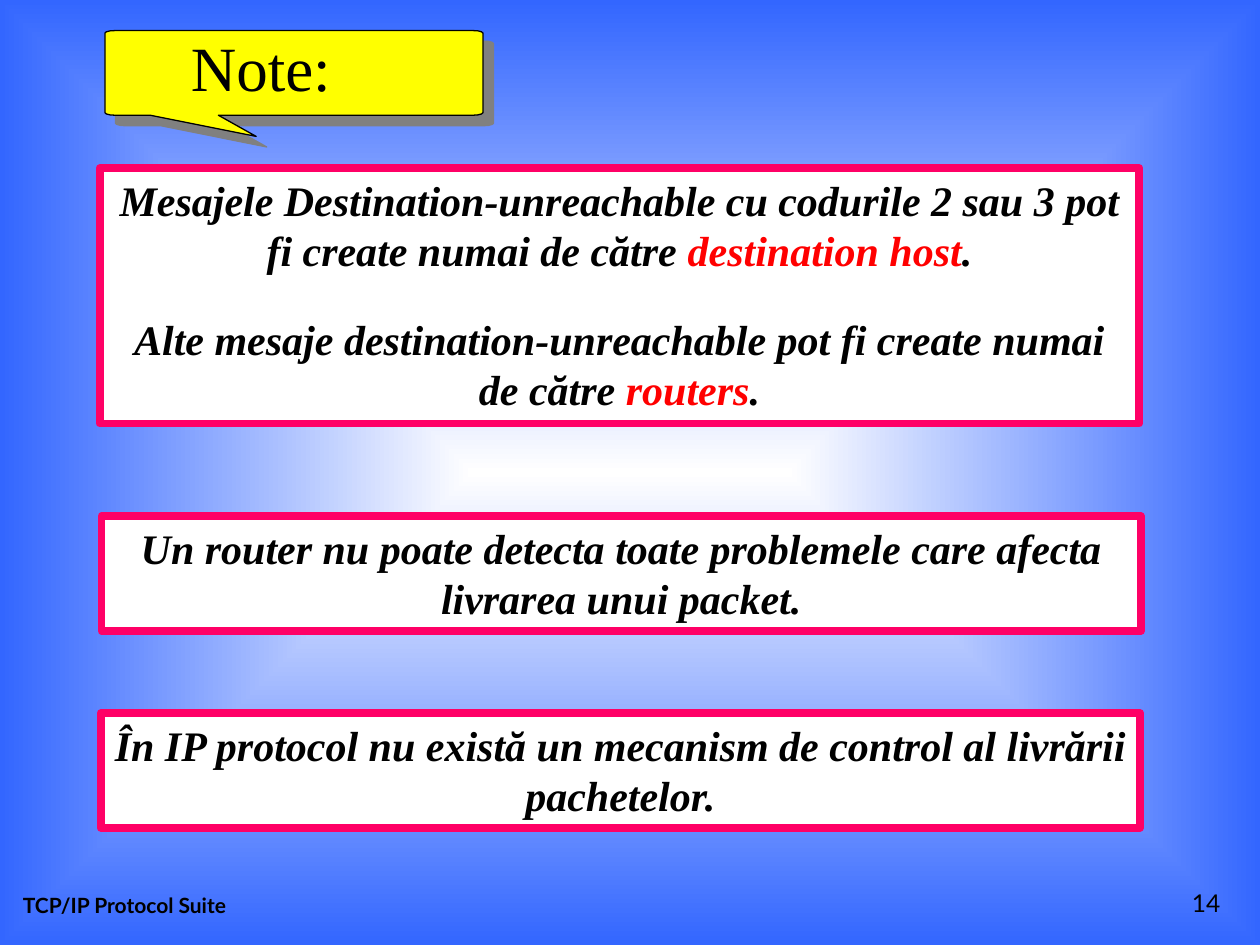
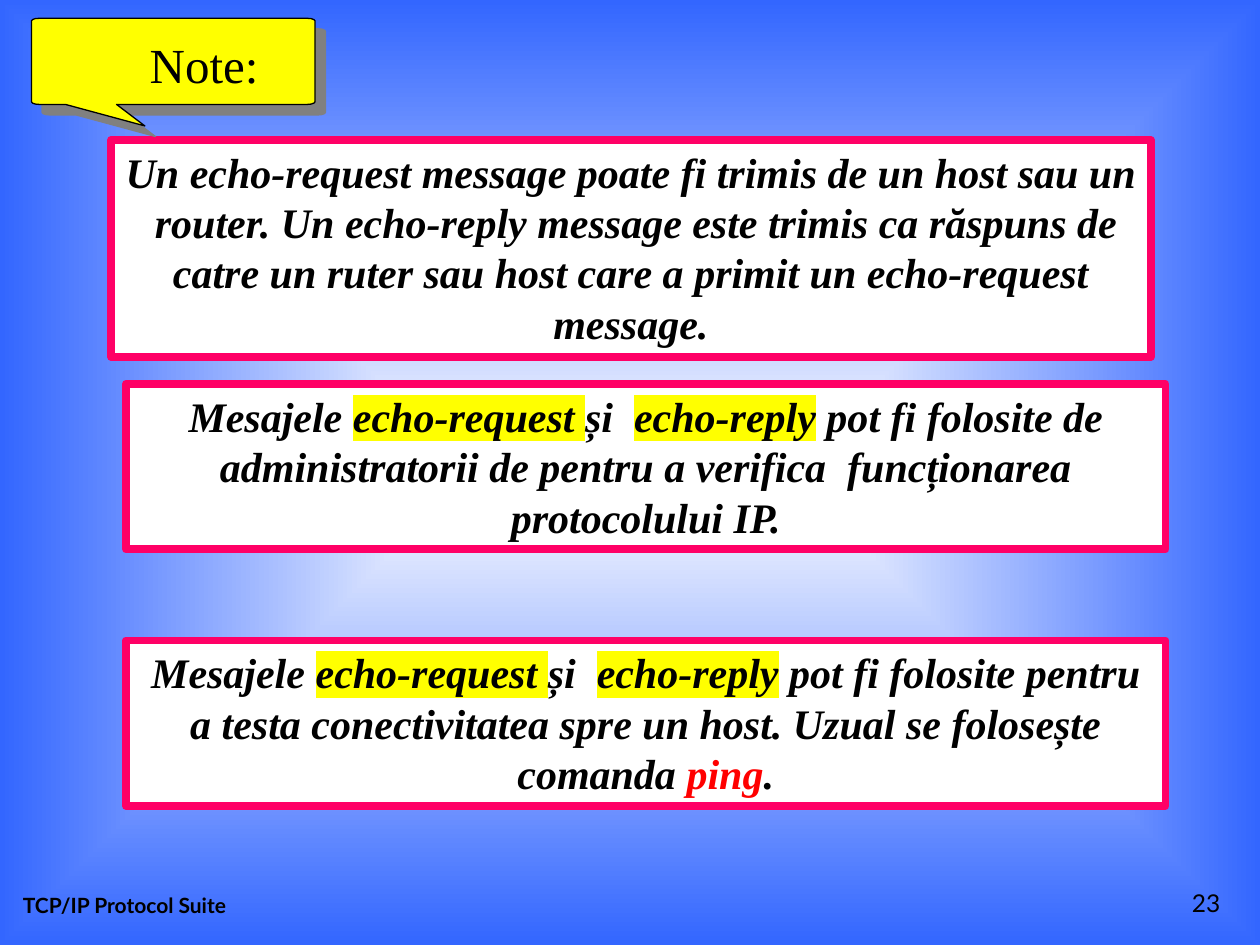
from math import cos, radians, sin

from lxml import etree
from pptx import Presentation
from pptx.dml.color import RGBColor
from pptx.enum.shapes import MSO_SHAPE
from pptx.enum.text import MSO_ANCHOR, MSO_AUTO_SIZE, PP_ALIGN
from pptx.oxml.ns import qn
from pptx.util import Pt

RECTANGLE = MSO_SHAPE.RECTANGLE
TOP, BOTTOM = MSO_ANCHOR.TOP, MSO_ANCHOR.BOTTOM
LEFT, CENTER, RIGHT = PP_ALIGN.LEFT, PP_ALIGN.CENTER, PP_ALIGN.RIGHT
GROW = MSO_AUTO_SIZE.SHAPE_TO_FIT_TEXT

COLORS = {
    "text": "000000",
    "key": "FF0000",
    "frame": "FF0066",
    "paper": "FFFFFF",
    "backdrop": "3366FF",
    "callout": "FFFF00",
    "shadow": "808080",
    "marker": "FFFF00",
}
SERIF, SANS = "Times New Roman", "Lato"
FOOTER = "TCP/IP Protocol Suite"
BOX_WIDTH = 594

# Each note box: left, top, height, paragraphs; a run is (text, style).
ECHO_PAIR = [
    ("Mesajele ", "plain"),
    ("echo-request ", "marker"),
    ("și  ", "plain"),
    ("echo-reply", "marker"),
]
NOTE_SLIDES = [
    {
        "number": "14",
        "callout": (60, 17.5, 216, 60.5),
        "title": (102, 12.5, 94.5, 50.5, 36),
        "boxes": [
            (57, 96, 146, [
                [("Mesajele Destination-unreachable cu codurile 2 sau 3 pot fi create "
                  "numai de către ", "plain"),
                 ("destination host", "key"), (".", "plain")],
                [("Alte mesaje destination-unreachable pot fi create numai de către ",
                  "plain"),
                 ("routers", "key"), (".", "plain")],
            ]),
            (58, 295, 65.5, [
                [("Un router nu poate detecta toate problemele care afecta livrarea "
                  "unui packet.", "plain")],
            ]),
            (57.5, 407.5, 65.5, [
                [("În IP protocol nu există un mecanism de control al livrării "
                  "pachetelor.", "plain")],
            ]),
        ],
    },
    {
        "number": "23",
        "callout": (18, 10.5, 162, 61.5),
        "title": (78.5, 16, 77, 41, 28),
        "boxes": [
            (63.5, 80, 124, [
                [("Un echo-request message poate fi trimis de un host sau un  router. "
                  "Un echo-reply message este trimis ca răspuns de catre un ruter sau "
                  "host care a primit un echo-request message.", "plain")],
            ]),
            (72, 219.5, 94.5, [
                ECHO_PAIR + [
                    (" pot fi folosite de administratorii de pentru a verifica  "
                     "funcționarea protocolului IP.", "plain")],
            ]),
            (72, 366, 94.5, [
                ECHO_PAIR + [
                    (" pot fi folosite pentru a testa conectivitatea spre un host. "
                     "Uzual se folosește comanda ", "plain"),
                    ("ping", "key"), (".", "plain")],
            ]),
        ],
    },
]


def write_text(shape, paragraphs, font_name, size, align, anchor=TOP, bold=False, italic=False):
    frame = shape.text_frame
    frame.word_wrap = True
    frame.vertical_anchor = anchor
    for index, runs in enumerate(paragraphs):
        paragraph = frame.add_paragraph() if index else frame.paragraphs[0]
        paragraph.alignment = align
        if index:
            paragraph.space_before = Pt(22)
        font = paragraph.font
        font.name, font.size, font.bold, font.italic = font_name, Pt(size), bold, italic
        for text, style in runs:
            run = paragraph.add_run()
            run.text = text
            color = COLORS["key" if style == "key" else "text"]
            run.font.color.rgb = RGBColor.from_string(color)
            if style == "marker":
                highlight = etree.SubElement(run.font._element, qn("a:highlight"))
                etree.SubElement(highlight, qn("a:srgbClr"), val=COLORS["marker"])
    return frame


def add_callout(slide, left, top, width, height):
    """Draw a rounded speech bubble whose pointer takes the lowest fifth of the height."""
    body = height * 0.8
    radius_x, radius_y = width * 0.027, body * 0.03
    right, bottom = left + width, top + body
    corners = [
        (right - radius_x, top + radius_y, 270),
        (right - radius_x, bottom - radius_y, 0),
        (left + radius_x, bottom - radius_y, 90),
        (left + radius_x, top + radius_y, 180),
    ]
    points = []
    for center_x, center_y, start in corners:
        if start == 90:
            points += [(left + width * 0.3, bottom), (left + width * 0.4, top + height),
                       (left + width * 0.12, bottom)]
        for angle in range(start, start + 91, 30):
            points.append((center_x + radius_x * cos(radians(angle)),
                           center_y + radius_y * sin(radians(angle))))
    points = [(Pt(x), Pt(y)) for x, y in points]
    builder = slide.shapes.build_freeform(*points[0])
    builder.add_line_segments(points[1:], close=True)
    callout = builder.convert_to_shape()
    callout.fill.solid()
    callout.fill.fore_color.rgb = RGBColor.from_string(COLORS["callout"])
    callout.line.color.rgb = RGBColor.from_string(COLORS["text"])
    callout.line.width = Pt(0.75)
    callout.shadow.inherit = False
    effects = callout.element.spPr.find(qn("a:effectLst"))
    shadow = etree.SubElement(effects, qn("a:outerShdw"), dist=str(Pt(8.5)),
                              dir="2700000", algn="ctr", rotWithShape="0")
    etree.SubElement(shadow, qn("a:srgbClr"), val=COLORS["shadow"])


presentation = Presentation()
presentation.slide_width, presentation.slide_height = Pt(720), Pt(540)

# Shared backdrop: white centre fading to blue edges
master = presentation.slide_master
backdrop = master.background.fill
backdrop.gradient()
for stop, color, position in zip(backdrop.gradient_stops, ("paper", "backdrop"), (0, 1)):
    stop.color.rgb = RGBColor.from_string(COLORS[color])
    stop.position = position
gradient = master.element.find(".//" + qn("a:gradFill"))
gradient.remove(gradient.find(qn("a:lin")))
gradient_shape = etree.SubElement(gradient, qn("a:path"), path="shape")
etree.SubElement(gradient_shape, qn("a:fillToRect"), l="50000", t="50000", r="50000", b="50000")

for note in NOTE_SLIDES:
    slide = presentation.slides.add_slide(presentation.slide_layouts[6])

    footer = slide.shapes.add_textbox(Pt(6), Pt(492), Pt(228), Pt(36))
    write_text(footer, [[(FOOTER, "plain")]], SANS, 12, LEFT, BOTTOM, bold=True)
    number = slide.shapes.add_textbox(Pt(554.5), Pt(492), Pt(150), Pt(36))
    write_text(number, [[(note["number"], "plain")]], SANS, 14, RIGHT, BOTTOM)

    for left, top, height, paragraphs in note["boxes"]:
        box = slide.shapes.add_shape(RECTANGLE, Pt(left), Pt(top), Pt(BOX_WIDTH), Pt(height))
        box.shadow.inherit = False
        box.fill.solid()
        box.fill.fore_color.rgb = RGBColor.from_string(COLORS["paper"])
        box.line.color.rgb = RGBColor.from_string(COLORS["frame"])
        box.line.width = Pt(4.5)
        frame = write_text(box, paragraphs, SERIF, 24, CENTER, bold=True, italic=True)
        frame.auto_size = GROW

    add_callout(slide, *note["callout"])
    left, top, width, height, size = note["title"]
    title = slide.shapes.add_textbox(Pt(left), Pt(top), Pt(width), Pt(height))
    frame = write_text(title, [[("Note:", "plain")]], SERIF, size, LEFT)
    frame.word_wrap = False
    frame.auto_size = GROW

presentation.save("out.pptx")
